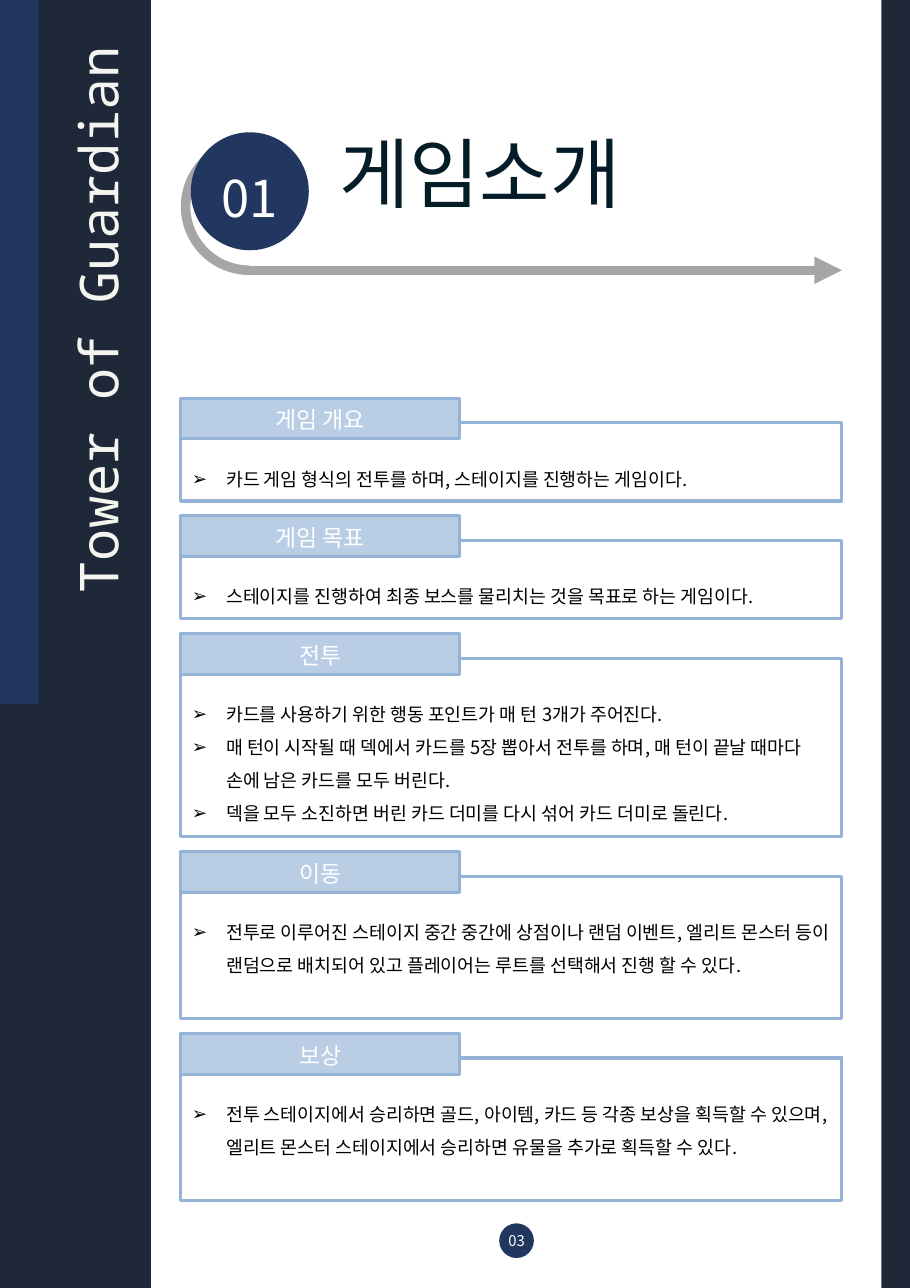
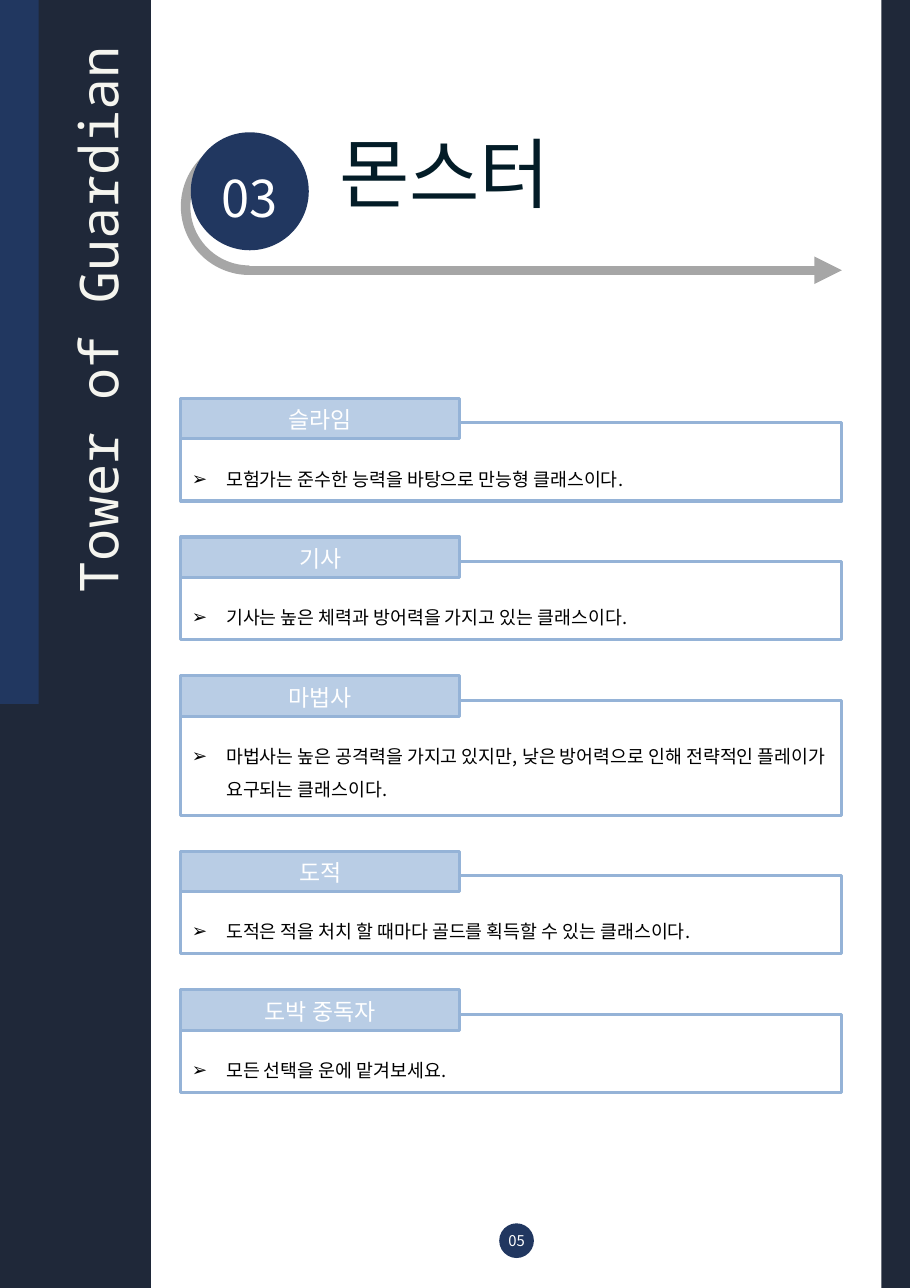
from copy import deepcopy
from lxml.etree import SubElement
from pptx import Presentation
from pptx.dml.color import RGBColor
from pptx.enum.shapes import MSO_CONNECTOR, MSO_SHAPE
from pptx.enum.text import MSO_ANCHOR, MSO_AUTO_SIZE, PP_ALIGN
from pptx.oxml.ns import qn
from pptx.util import Cm, Pt

# Shared style
WIDE, HIGH = 20.98, 29.69
SANS, MONO = "Noto Sans CJK KR", "Noto Sans Mono"
HEX = {
    "dark": "1F2839", "navy": "213760", "gray": "A6A6A6", "white": "FFFFFF",
    "cream": "F5F5EF", "ink": "031C27", "text": "000000",
    "edge": "95B3D7", "tab": "B9CDE5",
}
LEFT, SPAN, TOP = 4.17, 15.24, 9.75   # column of panels

# Panels: (heading, height, list items)
INTRO = [
    ("게임 개요", 1.8, ["카드 게임 형식의 전투를 하며, 스테이지를 진행하는 게임이다."]),
    ("게임 목표", 1.8, ["스테이지를 진행하여 최종 보스를 물리치는 것을 목표로 하는 게임이다."]),
    ("전투", 4.12, [
        "카드를 사용하기 위한 행동 포인트가 매 턴 3개가 주어진다.",
        "매 턴이 시작될 때 덱에서 카드를 5장 뽑아서 전투를 하며, 매 턴이 끝날 때마다 손에 남은 카드를 모두 버린다.",
        "덱을 모두 소진하면 버린 카드 더미를 다시 섞어 카드 더미로 돌린다."]),
    ("이동", 3.28, [
        "전투로 이루어진 스테이지 중간 중간에 상점이나 랜덤 이벤트, 엘리트 몬스터 등이 랜덤으로 배치되어 있고 "
        "플레이어는 루트를 선택해서 진행 할 수 있다."]),
    ("보상", 3.28, [
        "전투 스테이지에서 승리하면 골드, 아이템, 카드 등 각종 보상을 획득할 수 있으며, "
        "엘리트 몬스터 스테이지에서 승리하면 유물을 추가로 획득할 수 있다."]),
]
FOES = [
    ("슬라임", 1.8, ["모험가는 준수한 능력을 바탕으로 만능형 클래스이다."]),
    ("기사", 1.8, ["기사는 높은 체력과 방어력을 가지고 있는 클래스이다."]),
    ("마법사", 2.64, ["마법사는 높은 공격력을 가지고 있지만, 낮은 방어력으로 인해 전략적인 플레이가 요구되는 클래스이다."]),
    ("도적", 1.8, ["도적은 적을 처치 할 때마다 골드를 획득할 수 있는 클래스이다."]),
    ("도박 중독자", 1.8, ["모든 선택을 운에 맡겨보세요."]),
]


def color(name):
    return RGBColor.from_string(HEX[name])


def place(shape, x, y, w, h):
    shape.left, shape.top, shape.width, shape.height = Cm(x), Cm(y), Cm(w), Cm(h)


def style(para, size, tone, space, align=PP_ALIGN.LEFT, face=SANS):
    para.alignment, para.line_spacing = align, space
    para.space_before = Pt(0)
    font = para.font
    font.name, font.size = face, Pt(size)
    font.color.rgb = color(tone)
    # East Asian letters need their own font entry
    SubElement(para._p.pPr.find(qn("a:defRPr")), qn("a:ea"), typeface=face)


def bare(frame):
    frame.margin_left = frame.margin_right = 0
    frame.margin_top = frame.margin_bottom = 0
    frame.vertical_anchor = MSO_ANCHOR.TOP
    frame.auto_size = MSO_AUTO_SIZE.NONE
    frame.word_wrap = True


def solid(slide, kind, x, y, w, h, fill=None, edge=None):
    shape = slide.shapes.add_shape(kind, Cm(x), Cm(y), Cm(w), Cm(h))
    shape.shadow.inherit = False
    if fill:
        shape.fill.solid()
        shape.fill.fore_color.rgb = color(fill)
    else:
        shape.fill.background()
    if edge:
        shape.line.color.rgb = color(edge)
        shape.line.width = Pt(2)
    else:
        shape.line.fill.background()
    return shape


def label(slide, text, x, y, w, h, size, tone, space, face=SANS):
    box = slide.shapes.add_textbox(Cm(x), Cm(y), Cm(w), Cm(h))
    bare(box.text_frame)
    box.text_frame.text = text
    style(box.text_frame.paragraphs[0], size, tone, Pt(space), PP_ALIGN.CENTER, face)
    return box


# Side bands, name of the game and page number
def frame(slide, page):
    for x, w, h, tone in ((WIDE - 0.66, 0.66, HIGH, "dark"),
                          (0, 3.48, HIGH, "dark"), (0, 0.89, 16.23, "navy")):
        solid(slide, MSO_SHAPE.RECTANGLE, x, 0, w, h, tone)
    name = label(slide, "Tower of Guardian", -6.1, 6.48, 16.23, 1.78, 35, "cream", 52.5, MONO)
    name.rotation = 270
    solid(slide, MSO_SHAPE.OVAL, 11.51, 28.2, 0.8, 0.8, "navy")
    label(slide, page, 11.66, 28.32, 0.5, 0.43, 9.7, "white", 13.5)


# Numbered circle with hooked arrow, and title
def header(slide, number, title, x, y):
    hook = solid(slide, MSO_SHAPE.BLOCK_ARC, x, y + 0.13, 3.16, 3.16, "gray")
    for i, value in enumerate((54, 162, 0.07)):   # left half, thin
        hook.adjustments[i] = value
    level = Cm(y + 3.18)
    arrow = slide.shapes.add_connector(
        MSO_CONNECTOR.STRAIGHT, Cm(x + 1.58), level, Cm(x + SPAN), level)
    arrow.line.color.rgb = color("gray")
    arrow.line.width = Pt(6)
    SubElement(arrow.line._get_or_add_ln(), qn("a:tailEnd"), type="triangle")
    SubElement(arrow._element.spPr, qn("a:effectLst"))
    solid(slide, MSO_SHAPE.OVAL, x + 0.23, y, 2.72, 2.72, "navy")
    label(slide, number, x + 0.71, y + 0.56, 1.75, 1.42, 33.1, "white", 46.4)
    head = slide.shapes.title
    place(head, x + 3.65, y + 1.37, 10, 0.76)
    bare(head.text_frame)
    head.text_frame.text = title
    style(head.text_frame.paragraphs[0], 50, "ink", Pt(16.9))


# Outlined box with a heading tab and a list
def panel(slide, body, head, items, x, y, w, h):
    solid(slide, MSO_SHAPE.RECTANGLE, x, y, w, h, edge="edge")
    tab = solid(slide, MSO_SHAPE.RECTANGLE, x, y - 0.57, 6.43, 0.94, "tab", "edge")
    tab.text_frame.text = head
    tab.text_frame.vertical_anchor = MSO_ANCHOR.BOTTOM
    style(tab.text_frame.paragraphs[0], 15, "white", 1.5, PP_ALIGN.CENTER)
    place(body, x, y + 0.65, w, h - 0.89)
    text = body.text_frame
    text.auto_size = MSO_AUTO_SIZE.NONE
    text.text = "\n".join(items)
    for para in text.paragraphs:
        props = para._p.get_or_add_pPr()
        props.set("marL", str(Cm(0.79)))
        props.set("indent", str(Cm(-0.79)))
        SubElement(props, qn("a:buChar"), char="➢")
        style(para, 12, "text", 1.5)


# Give the layout one body placeholder per panel
def widen(layout, count):
    first = layout.placeholders[1]._element
    for i in range(1, count):
        twin = deepcopy(first)
        twin.ph.set("idx", str(20 + i))
        twin.nvSpPr.cNvPr.set("id", str(20 + i))
        first.getparent().append(twin)


def build(deck, layout, number, page, title, panels, gap):
    slide = deck.slides.add_slide(layout)
    frame(slide, page)
    header(slide, number, title, LEFT, 3.05)
    bodies = list(slide.placeholders)[1:]
    y = TOP
    for body, (head, high, items) in zip(bodies, panels):
        panel(slide, body, head, items, LEFT, y, SPAN, high)
        y += high + gap


def main():
    deck = Presentation()
    deck.slide_width, deck.slide_height = Cm(WIDE), Cm(HIGH)
    layout = deck.slide_layouts[1]
    widen(layout, len(INTRO))
    build(deck, layout, "01", "03", "게임소개", INTRO, 0.91)
    build(deck, layout, "03", "05", "몬스터", FOES, 1.4)
    deck.save("out.pptx")


if __name__ == "__main__":
    main()
